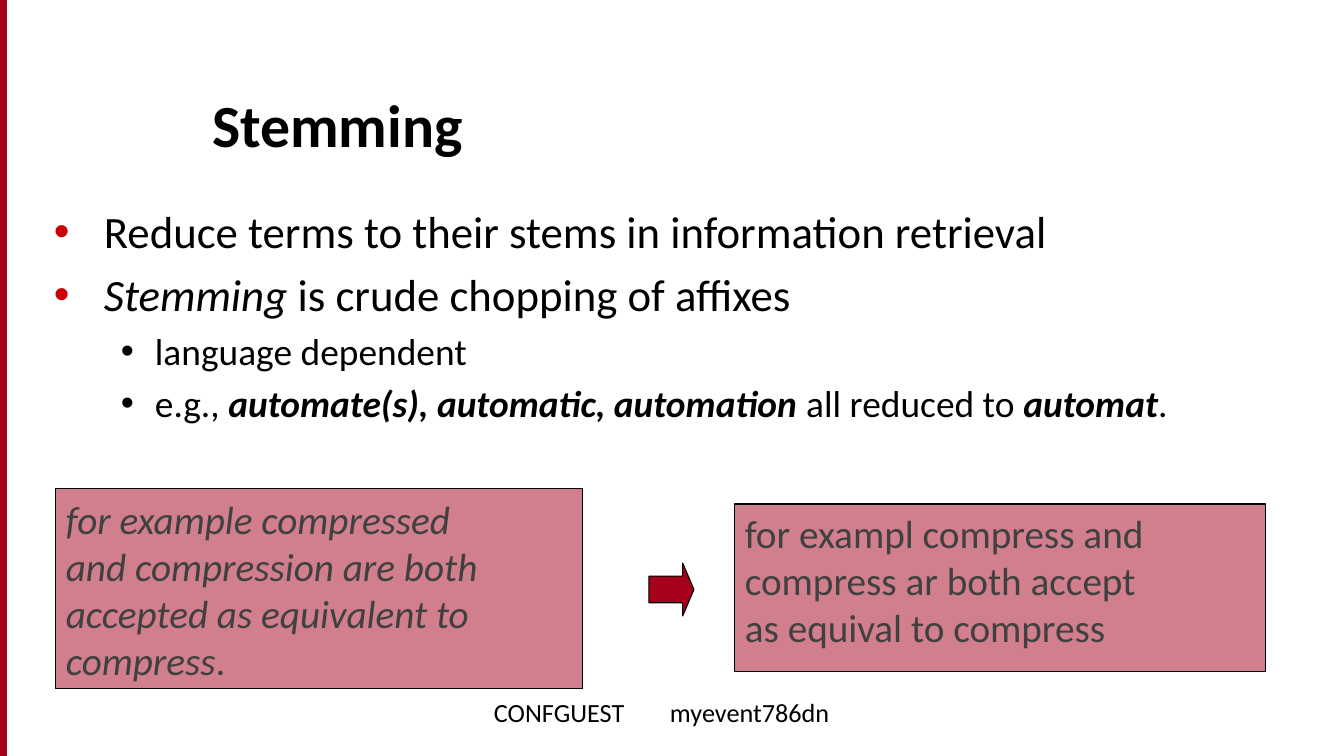
from lxml import etree
from pptx import Presentation, util as u
from pptx.dml.color import RGBColor
from pptx.enum import shapes, text
from pptx.oxml.ns import qn

SCALE = 914400 / 100.8
RED, BLACK, GREY = "A4001D", "000000", "404040"


def px(value):
    return u.Emu(round(value * SCALE))


def colour(code):
    return RGBColor.from_string(code)


def assign(target, values):
    for name, value in values.items():
        setattr(target, name, value)


def write(para, spans, size, code=BLACK):
    """Add (wording, font format) spans to a paragraph."""
    for wording, style in spans:
        span = para.add_run()
        span.text = wording
        assign(span.font, {"name": "Calibri", "size": u.Pt(size), **style})
        span.font.color.rgb = colour(code)


def place(shape, box):
    assign(shape, dict(zip(("left", "top", "width", "height"), map(px, box))))


def add_bullet(para, margin, hang, code):
    props = para._p.get_or_add_pPr()
    props.set("marL", str(px(margin)))
    props.set("indent", str(-px(hang)))
    holder = etree.SubElement(props, qn("a:buClr"))
    etree.SubElement(holder, qn("a:srgbClr"), val=code)
    etree.SubElement(props, qn("a:buFont"), typeface="Arial")
    etree.SubElement(props, qn("a:buChar"), char="•")


def add_block(page, kind, box, line=BLACK, alpha=None):
    block = page.shapes.add_shape(kind, *map(px, box))
    block.shadow.inherit = False
    block.fill.solid()
    block.fill.fore_color.rgb = colour(RED)
    block.line.color.rgb = colour(line)
    block.line.width = u.Pt(0.75)
    if alpha:
        tint = block.fill._xPr.find(".//" + qn("a:srgbClr"))
        etree.SubElement(tint, qn("a:alpha"), val=str(alpha * 1000))
    return block


def add_title(page, box, wording):
    title = page.shapes.title
    place(title, box)
    assign(title.text_frame, {"vertical_anchor": text.MSO_ANCHOR.BOTTOM, "word_wrap": True})
    para = title.text_frame.paragraphs[0]
    para.alignment = text.PP_ALIGN.LEFT
    write(para, [(wording, {"bold": True})], 42.7)


def add_points(page, box, points):
    frame = page.shapes.add_textbox(*map(px, box)).text_frame
    frame.word_wrap = True
    levels = [(32, 50, 50, "CC0000"), (26.7, 101, 34, BLACK)]
    for index, (level, spans) in enumerate(points):
        para = frame.add_paragraph() if index else frame.paragraphs[0]
        size, margin, hang, code = levels[level]
        para.space_before = u.Pt(size * 0.2)
        add_bullet(para, margin, hang, code)
        write(para, spans, size)


def add_passage(page, box, lines, anchor):
    block = add_block(page, shapes.MSO_SHAPE.RECTANGLE, box, alpha=50)
    frame = block.text_frame
    assign(frame, {"vertical_anchor": anchor, "word_wrap": True})
    for index, spans in enumerate(lines):
        para = frame.add_paragraph() if index else frame.paragraphs[0]
        para.alignment = text.PP_ALIGN.LEFT
        write(para, spans, 28, GREY)


def add_stemming(page, box):
    """Passage before stemming, arrow, passage after stemming."""
    left, top, width, height = box
    before = [[(line, ITALIC)] for line in (
        "for example compressed", "and compression are both", "accepted as equivalent to")]
    before.append([("compress", ITALIC), (".", {})])
    after = [[(line, {})] for line in (
        "for exampl compress and", "compress ar both accept", "as equival to compress")]
    add_passage(page, (left, top, 527, height), before, text.MSO_ANCHOR.MIDDLE)
    add_passage(page, (left + width - 531, top + 15, 531, 168), after, text.MSO_ANCHOR.TOP)
    arrow = add_block(page, shapes.MSO_SHAPE.RIGHT_ARROW, (left + 593, top + 74, 45, 53))
    arrow.adjustments[1] = 0.25


def add_footer(page, box, names):
    frame = page.shapes.add_textbox(*map(px, box)).text_frame
    assign(frame, {"word_wrap": True, "margin_left": px(46)})
    para = frame.paragraphs[0]
    tabs = etree.SubElement(para._p.get_or_add_pPr(), qn("a:tabLst"))
    etree.SubElement(tabs, qn("a:tab"), pos=str(px(176)), algn="l")
    write(para, [("\t".join(names), {})], 18.7)


ITALIC = {"italic": True}
STRONG = {"bold": True, "italic": True}
POINTS = [
    (0, [("Reduce terms to their stems in information retrieval", {})]),
    (0, [("Stemming", ITALIC), (" is crude chopping of affixes", {})]),
    (1, [("language dependent", {})]),
    (1, [("e.g., ", {}), ("automate(s), automatic, automation", STRONG),
         (" all reduced to ", {}), ("automat", STRONG), (".", {})]),
]

deck = Presentation()
assign(deck, {"slide_width": px(1344), "slide_height": px(756)})
page = deck.slides.add_slide(deck.slide_layouts[5])

# Red edge
add_block(page, shapes.MSO_SHAPE.RECTANGLE, (0, 0, 7, 756), line=RED)
# Title and bullets
add_title(page, (202, 56, 1098, 109), "Stemming")
add_points(page, (44, 199, 1254, 270), POINTS)
# Stemming example
add_stemming(page, (56, 489, 1210, 200))
# Guest network footer
add_footer(page, (448, 691, 425, 50), ["CONFGUEST", "myevent786dn"])

deck.save("out.pptx")
